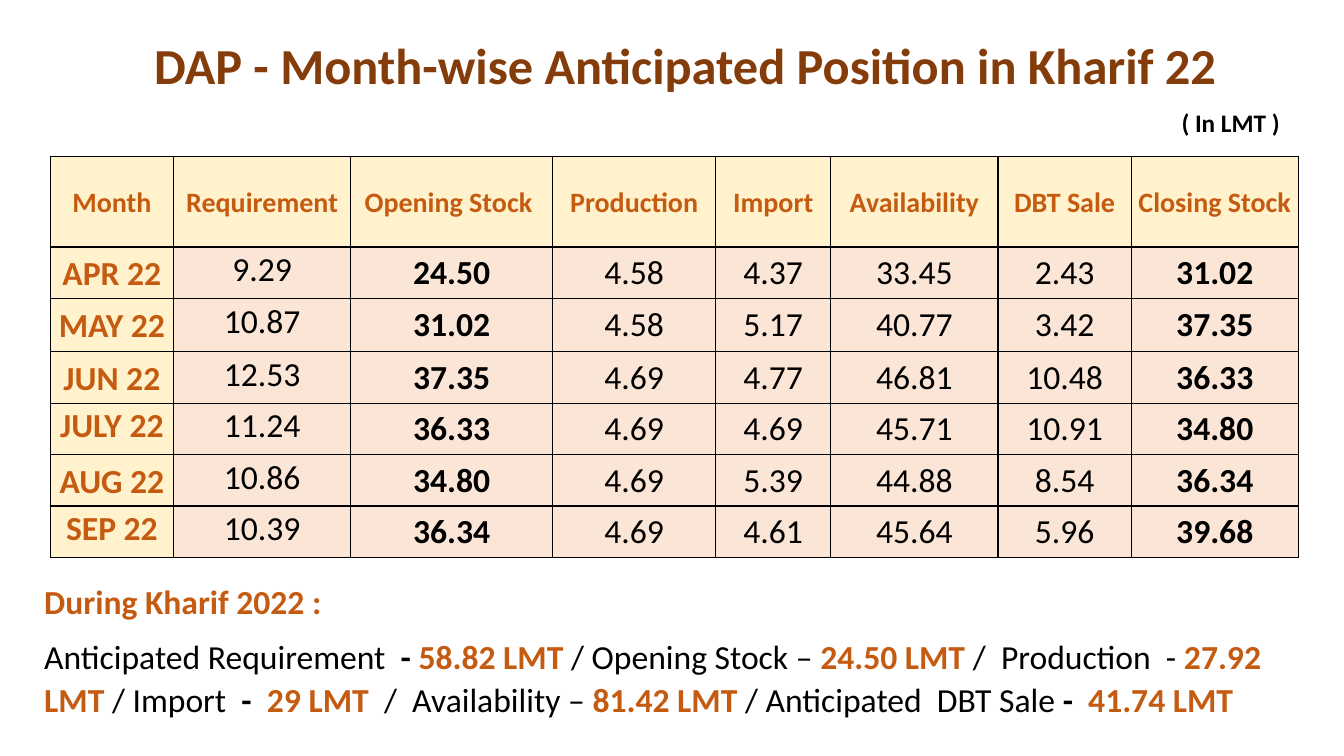
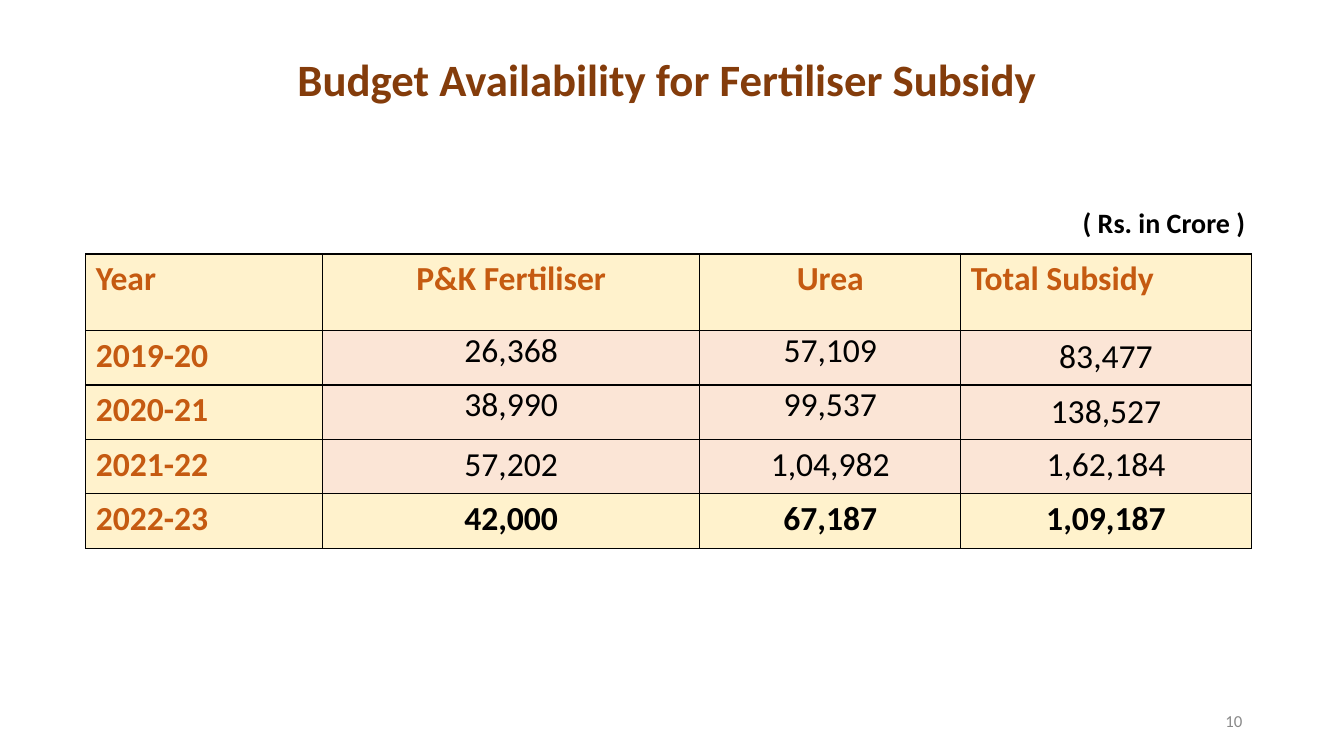
import lxml.etree
import pptx
import pptx.dml.color
import pptx.enum.text
import pptx.oxml
import pptx.oxml.ns
import pptx.util

Inches = pptx.util.Inches
Pt = pptx.util.Pt
ALIGN = pptx.enum.text.PP_ALIGN
ANCHOR = pptx.enum.text.MSO_ANCHOR

COLORS = {
    "title": "843C0B",
    "accent": "C55A11",
    "text": "000000",
    "label_fill": "FFF2CC",
    "value_fill": "FBE5D6",
    "border": "000000",
    "page_number": "898989",
}
FONT = "Calibri"
TITLE_ONLY = 5

# Shared cell styles: insets are left, top, right, bottom
LABEL = dict(color="accent", bold=True, fill="label_fill", size=24)
VALUE = dict(color="text", bold=False, fill="value_fill", size=24)
MIDDLE = dict(anchor=ANCHOR.MIDDLE)
SPACED = dict(line=1.07, after=8)
WIDE_INSETS = (0.1, 0.05, 0.1, 0.05)
SIDE_INSETS = (0.07, 0, 0.07, 0)

MONTH_HEADER = ["Month", "Requirement", "Opening Stock ", "Production",
                "Import", "Availability", "DBT Sale", "Closing Stock"]
MONTH_ROWS = [
    ["APR 22", "9.29", "24.50", "4.58", "4.37", "33.45", "2.43", "31.02"],
    ["MAY 22", "10.87", "31.02", "4.58", "5.17", "40.77", "3.42", "37.35"],
    ["JUN 22", "12.53", "37.35", "4.69", "4.77", "46.81", "10.48", "36.33"],
    ["JULY 22", "11.24", "36.33", "4.69", "4.69", "45.71", "10.91", "34.80"],
    ["AUG 22", "10.86", "34.80", "4.69", "5.39", "44.88", "8.54", "36.34"],
    ["SEP 22", "10.39", "36.34", "4.69", "4.61", "45.64", "5.96", "39.68"],
]
BUDGET_ROWS = [
    ["Year", "P&K Fertiliser", "Urea", "Total Subsidy"],
    ["2019-20", "26,368", "57,109", "83,477"],
    ["2020-21", "38,990", "99,537", "138,527"],
    ["2021-22", "57,202", "1,04,982", "1,62,184"],
    ["2022-23", "42,000", "67,187", "1,09,187"],
]
# Each run: text, colour, bold
SUMMARY = [
    [("During Kharif 2022 :", "accent", True)],
    [("Anticipated Requirement ", "text", False), (" - ", "text", True),
     ("58.82 LMT ", "accent", True), ("/ Opening Stock – ", "text", False),
     ("24.50 LMT ", "accent", True), ("/  Production  - ", "text", False),
     ("27.92 LMT ", "accent", True), ("/ Import  ", "text", False),
     ("-  ", "text", True), ("29 LMT  ", "accent", True),
     ("/  Availability – ", "text", False), ("81.42 LMT ", "accent", True),
     ("/ Anticipated  DBT Sale ", "text", False), ("-  ", "text", True),
     ("41.74 LMT", "accent", True)],
]


def rgb(name):
    return pptx.dml.color.RGBColor.from_string(COLORS[name])


def add_span(para, text, size, color, bold):
    span = para.add_run()
    span.text = text
    span.font.name = FONT
    span.font.size = Pt(size)
    span.font.bold = bold
    span.font.color.rgb = rgb(color)


def add_title(page, box, text, size, align, anchor):
    title = page.shapes.title
    title.left, title.top, title.width, title.height = map(Inches, box)
    frame = title.text_frame
    frame.auto_size = pptx.enum.text.MSO_AUTO_SIZE.NONE
    frame.word_wrap = True
    frame.vertical_anchor = anchor
    para = frame.paragraphs[0]
    para.alignment = align
    add_span(para, text, size, "title", True)


def add_text(page, box, paragraphs, size, wrap=True, align=ALIGN.LEFT,
             anchor=ANCHOR.TOP, line=1, after=0):
    frame = page.shapes.add_textbox(*map(Inches, box)).text_frame
    frame.word_wrap = wrap
    frame.vertical_anchor = anchor
    for number, spans in enumerate(paragraphs):
        para = frame.add_paragraph() if number else frame.paragraphs[0]
        para.alignment = align
        para.line_spacing = line
        para.space_after = Pt(after)
        for text, color, bold in spans:
            add_span(para, text, size, color, bold)


def add_borders(cell):
    properties = cell._tc.get_or_add_tcPr()
    for side in ("lnL", "lnR", "lnT", "lnB"):
        edge = lxml.etree.SubElement(
            properties, pptx.oxml.ns.qn("a:" + side), w=str(Pt(1)))
        fill = lxml.etree.SubElement(edge, pptx.oxml.ns.qn("a:solidFill"))
        lxml.etree.SubElement(
            fill, pptx.oxml.ns.qn("a:srgbClr"), val=COLORS["border"])


def fill_cell(cell, text, color, bold, fill, size, insets,
              align=ALIGN.CENTER, anchor=ANCHOR.TOP, line=1, after=0):
    add_borders(cell)
    cell.fill.solid()
    cell.fill.fore_color.rgb = rgb(fill)
    (cell.margin_left, cell.margin_top,
     cell.margin_right, cell.margin_bottom) = map(Inches, insets)
    cell.vertical_anchor = anchor
    para = cell.text_frame.paragraphs[0]
    para.alignment = align
    para.line_spacing = line
    para.space_after = Pt(after)
    add_span(para, text, size, color, bold)


def add_grid(page, left, top, widths, heights, rows, style_for):
    """Place a table whose cell styles come from style_for(row, column)."""
    table = page.shapes.add_table(
        len(rows), len(widths), Inches(left), Inches(top),
        Inches(sum(widths)), Inches(sum(heights))).table
    table.first_row = False
    table.horz_banding = False
    for column, width in zip(table.columns, widths):
        column.width = Inches(width)
    for row, height in zip(table.rows, heights):
        row.height = Inches(height)
    for r, texts in enumerate(rows):
        for c, text in enumerate(texts):
            fill_cell(table.cell(r, c), text, **style_for(r, c))


def month_style(row, column):
    if row == 0:
        return {**LABEL, **MIDDLE, **SPACED, "size": 20,
                "insets": (0.06, 0, 0.06, 0)}
    if column == 0:
        # July and September sit at the top of their cells
        anchor = ANCHOR.TOP if row in (4, 6) else ANCHOR.MIDDLE
        return {**LABEL, **SPACED, "anchor": anchor, "insets": SIDE_INSETS}
    if column == 1:
        return {**VALUE, **SPACED, "insets": (0.06, 0, 0.06, 0)}
    return {**VALUE, **MIDDLE, "bold": column in (2, 7),
            "insets": (0.01, 0.01, 0.01, 0)}


def budget_style(row, column):
    if row == 0 or column == 0:
        left = column == 0 or column == 3
        return {**LABEL, "insets": WIDE_INSETS,
                "align": ALIGN.LEFT if left else ALIGN.CENTER}
    if row == 4:
        return {**LABEL, "color": "text", "insets": WIDE_INSETS}
    if row == 3:
        return {**VALUE, "insets": WIDE_INSETS}
    return {**VALUE, "insets": SIDE_INSETS,
            "line": 1.15 if column == 3 else 1}


def build_month_slide(deck):
    page = deck.slides.add_slide(deck.slide_layouts[TITLE_ONLY])
    add_title(page, (1.25, 0.29, 11.1, 0.71),
              "DAP - Month-wise Anticipated Position in Kharif 22",
              36, ALIGN.CENTER, ANCHOR.TOP)
    add_text(page, (11.62, 1.02, 1.19, 0.4),
             [[("( In LMT )", "text", True)]], 18, wrap=False)
    add_grid(page, 0.5, 1.55,
             [1.22, 1.76, 2, 1.62, 1.14, 1.66, 1.32, 1.66],
             [0.9, 0.51, 0.53] + [0.51] * 4,
             [MONTH_HEADER] + MONTH_ROWS, month_style)
    # Season totals
    add_text(page, (0.34, 5.69, 12.93, 1.51), SUMMARY, 24, **SPACED)


def build_budget_slide(deck):
    page = deck.slides.add_slide(deck.slide_layouts[TITLE_ONLY])
    add_title(page, (2.85, 0.41, 8.05, 0.74),
              "Budget Availability for Fertiliser Subsidy",
              32, ALIGN.LEFT, ANCHOR.MIDDLE)
    add_text(page, (10.64, 1.99, 1.83, 0.44),
             [[("( Rs. in Crore )", "text", True)]], 20, wrap=False)
    add_grid(page, 0.85, 2.52, [2.35, 3.74, 2.59, 2.88],
             [0.76] + [0.54] * 4, BUDGET_ROWS, budget_style)
    # Page number
    add_text(page, (9.42, 6.95, 3, 0.4), [[("10", "page_number", False)]],
             12, align=ALIGN.RIGHT, anchor=ANCHOR.MIDDLE)


def main():
    deck = pptx.Presentation()
    deck.slide_width = Inches(13.33)
    deck.slide_height = Inches(7.5)
    build_month_slide(deck)
    build_budget_slide(deck)
    deck.save("out.pptx")


if __name__ == "__main__":
    main()
